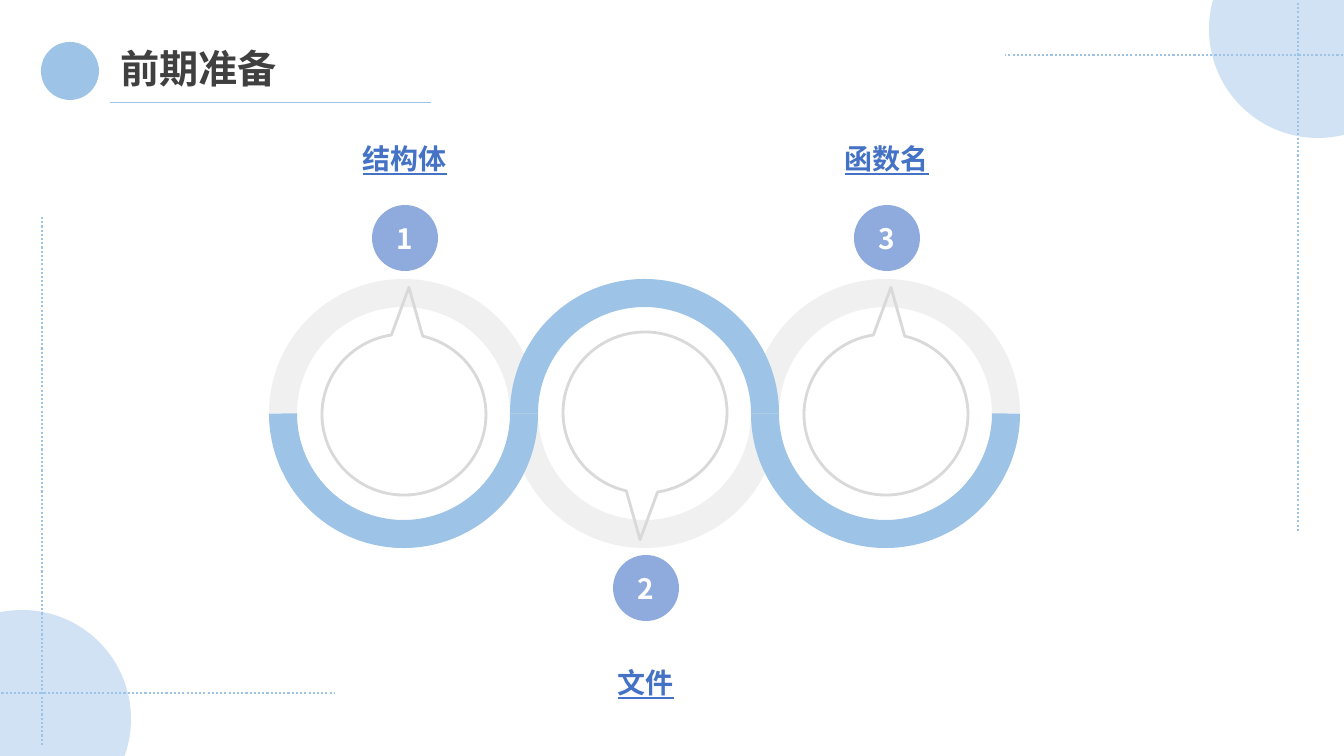
import lxml.etree
import pptx
import pptx.dml.color
import pptx.enum.dml
import pptx.enum.shapes
import pptx.enum.text
import pptx.oxml.ns
import pptx.util

PX = 914400 / 100.8
FONT = "Noto Sans CJK SC"
WHITE = pptx.dml.color.RGBColor(0xFF, 0xFF, 0xFF)
DARK = pptx.dml.color.RGBColor(0x40, 0x40, 0x40)
GREY = pptx.dml.color.RGBColor(0xD9, 0xD9, 0xD9)
SKY = pptx.dml.color.RGBColor(0x9D, 0xC3, 0xE6)
PALE = pptx.dml.color.RGBColor(0xBD, 0xD7, 0xEE)
BADGE = pptx.dml.color.RGBColor(0x8F, 0xAA, 0xDC)
LINK = pptx.dml.color.RGBColor(0x44, 0x72, 0xC4)
SHAPES = pptx.enum.shapes.MSO_SHAPE
CENTER = pptx.enum.text.PP_ALIGN.CENTER
MIDDLE = pptx.enum.text.MSO_ANCHOR.MIDDLE
RING = 241
UPPER, LOWER = (108, 0), (0, 108)


def emu(*pixels):
    """Turn pixel lengths into EMU."""
    return [pptx.util.Emu(round(length * PX)) for length in pixels]


def set_opacity(shape, percent):
    """Make the shape's one colour partly transparent."""
    for color in shape._element.spPr.iter(pptx.oxml.ns.qn("a:srgbClr")):
        alpha = lxml.etree.SubElement(color, pptx.oxml.ns.qn("a:alpha"))
        alpha.set("val", str(percent * 1000))


def add_shape(slide, kind, box, fill=None, line=None, width=1, adjustments=()):
    """Add a flat preset shape with an optional fill and outline."""
    shape = slide.shapes.add_shape(kind, *emu(*box))
    shape.shadow.inherit = False
    for index, value in enumerate(adjustments):
        shape.adjustments[index] = value
    if fill is None:
        shape.fill.background()
    else:
        shape.fill.solid()
        shape.fill.fore_color.rgb = fill
    if line is None:
        shape.line.fill.background()
    else:
        shape.line.color.rgb = line
        shape.line.width = pptx.util.Pt(width)
    return shape


def add_line(slide, start, end, width, dash=None):
    """Add a sky blue straight line."""
    line = slide.shapes.add_connector(
        pptx.enum.shapes.MSO_CONNECTOR.STRAIGHT, *emu(*start, *end))
    line.line.color.rgb = SKY
    line.line.width = pptx.util.Pt(width)
    line.line.dash_style = dash
    lxml.etree.SubElement(line._element.spPr, pptx.oxml.ns.qn("a:effectLst"))


def write(shape, text, size, color, align, underline=None):
    """Write one bold run into the shape and return its paragraph."""
    shape.text_frame.word_wrap = True
    paragraph = shape.text_frame.paragraphs[0]
    paragraph.alignment = align
    run = paragraph.add_run()
    run.text = text
    run.font.size = pptx.util.Pt(size)
    run.font.bold = True
    run.font.underline = underline
    run.font.color.rgb = color
    run.font.name = FONT
    east_asian = lxml.etree.SubElement(run.font._element, pptx.oxml.ns.qn("a:ea"))
    east_asian.set("typeface", FONT)
    return paragraph


def add_header(slide, left, top, text):
    """Place the dot, the title and its underline."""
    add_shape(slide, SHAPES.OVAL, (left, top, 58, 58), SKY)
    add_line(slide, (left + 69, top + 60), (left + 390, top + 60), 0.5)
    title = slide.shapes.title
    title.left, title.top, title.width, title.height = emu(left + 69, top - 3, 321, 57)
    title.text_frame.vertical_anchor = pptx.enum.text.MSO_ANCHOR.TOP
    title.text_frame.auto_size = pptx.enum.text.MSO_AUTO_SIZE.NONE
    write(title, text, 28, DARK, pptx.enum.text.PP_ALIGN.JUSTIFY)


def add_corner(slide, center_x, center_y, sign):
    """Place a corner disc with its two dotted lines; sign -1 turns it half round."""
    disc = add_shape(slide, SHAPES.OVAL, (center_x - 109, center_y - 109, 218, 218), PALE)
    set_opacity(disc, 70)
    for start, end in (((29, 26), (-313, 26)), ((-20, -26), (-20, 504))):
        ends = [(center_x + sign * x, center_y + sign * y) for x, y in (start, end)]
        add_line(slide, *ends, 1.5, pptx.enum.dml.MSO_LINE.ROUND_DOT)


def add_half_ring(slide, left, top, half, color):
    """Add one thick half circle."""
    return add_shape(slide, SHAPES.ARC, (left, top, RING, RING), None, color, 20, half)


def add_step(slide, left, top, number, label, points_up):
    """Place the callout, numbered badge and label of one ring."""
    callout_top, badge_top, label_top = (41, -88, -173) if points_up else (39, 262, 351)
    callout = add_shape(slide, SHAPES.OVAL_CALLOUT, (left + 39, top + callout_top, 164, 161),
                        None, GREY, 2, (-0.03, 0.79))
    callout.rotation = 180 if points_up else 0
    badge = add_shape(slide, SHAPES.OVAL, (left + 89, top + badge_top, 66, 66), BADGE)
    badge.text_frame.vertical_anchor = MIDDLE
    write(badge, str(number), 20, WHITE, CENTER)
    text_box = slide.shapes.add_textbox(*emu(left + 32, top + label_top, 180, 60))
    write(text_box, label, 20, LINK, CENTER, True).line_spacing = 1.5


def add_chain(slide, left, top, labels):
    """Place the linked rings from left to right with their steps."""
    lefts = [left + index * RING for index in range(len(labels))]
    for index, ring_left in enumerate(lefts):
        half = LOWER if index % 2 else UPPER
        set_opacity(add_half_ring(slide, ring_left, top, half, DARK), 8)
    for index, ring_left in enumerate(lefts):
        add_half_ring(slide, ring_left, top, UPPER if index % 2 else LOWER, SKY)
    for index, (ring_left, label) in enumerate(zip(lefts, labels)):
        add_step(slide, ring_left, top, index + 1, label, index % 2 == 0)


def main():
    """Build and save the slide."""
    presentation = pptx.Presentation()
    presentation.slide_width, presentation.slide_height = emu(1344, 756)
    slide = presentation.slides.add_slide(presentation.slide_layouts[5])
    add_chain(slide, 283, 293, ("结构体", "文件", "函数名"))
    add_corner(slide, 1318, 29, 1)
    add_corner(slide, 22, 719, -1)
    add_header(slide, 41, 42, "前期准备")
    presentation.save("out.pptx")


if __name__ == "__main__":
    main()
